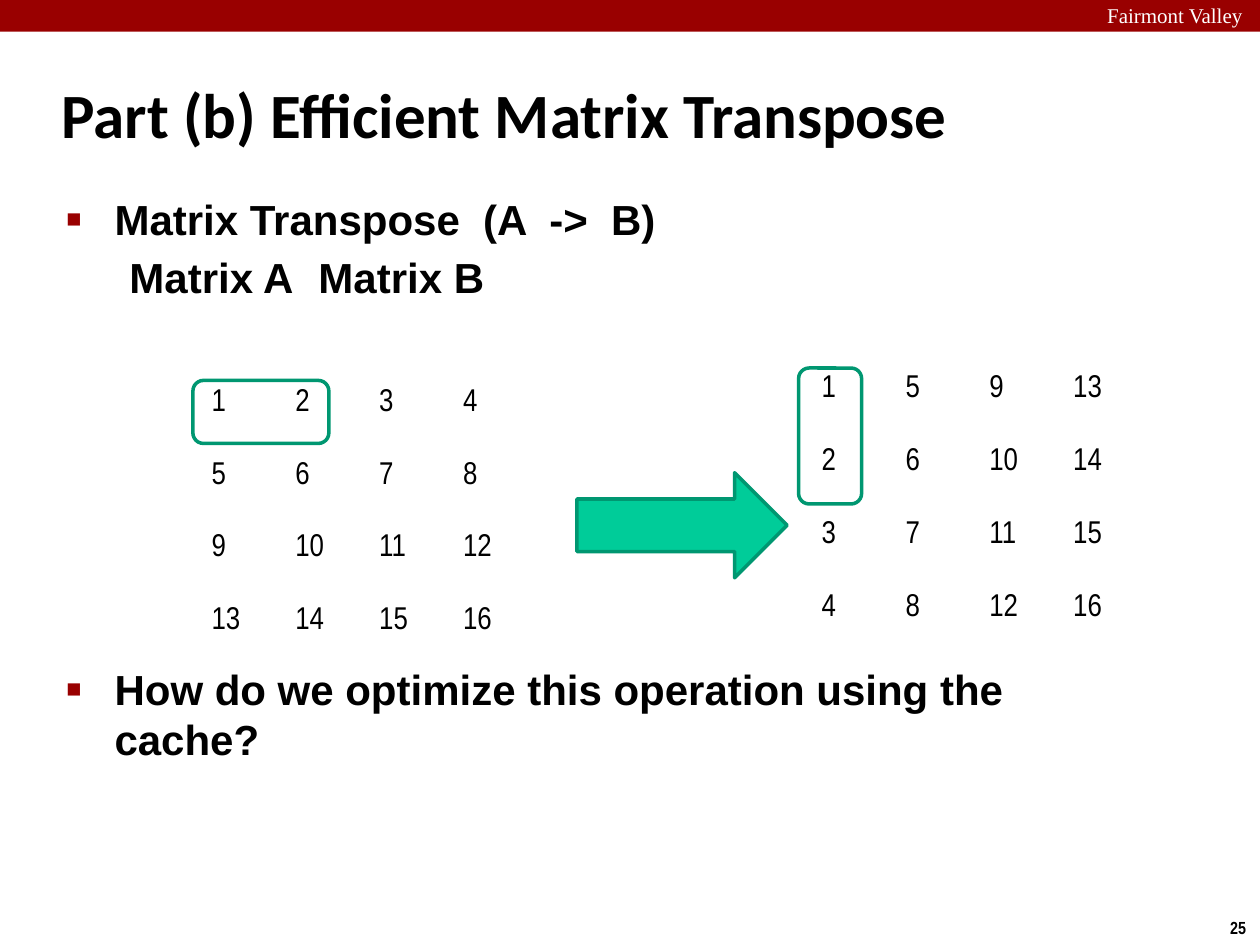
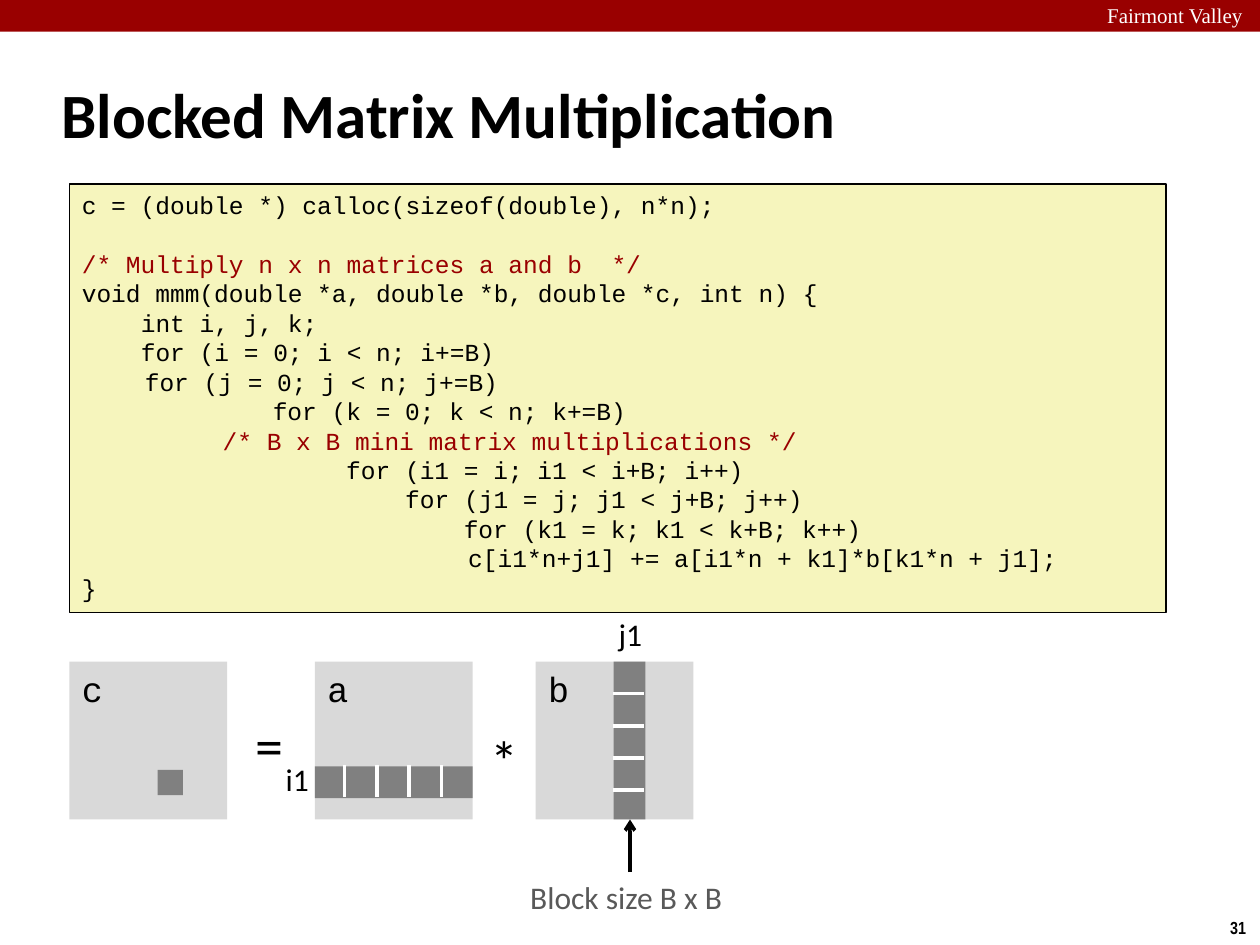
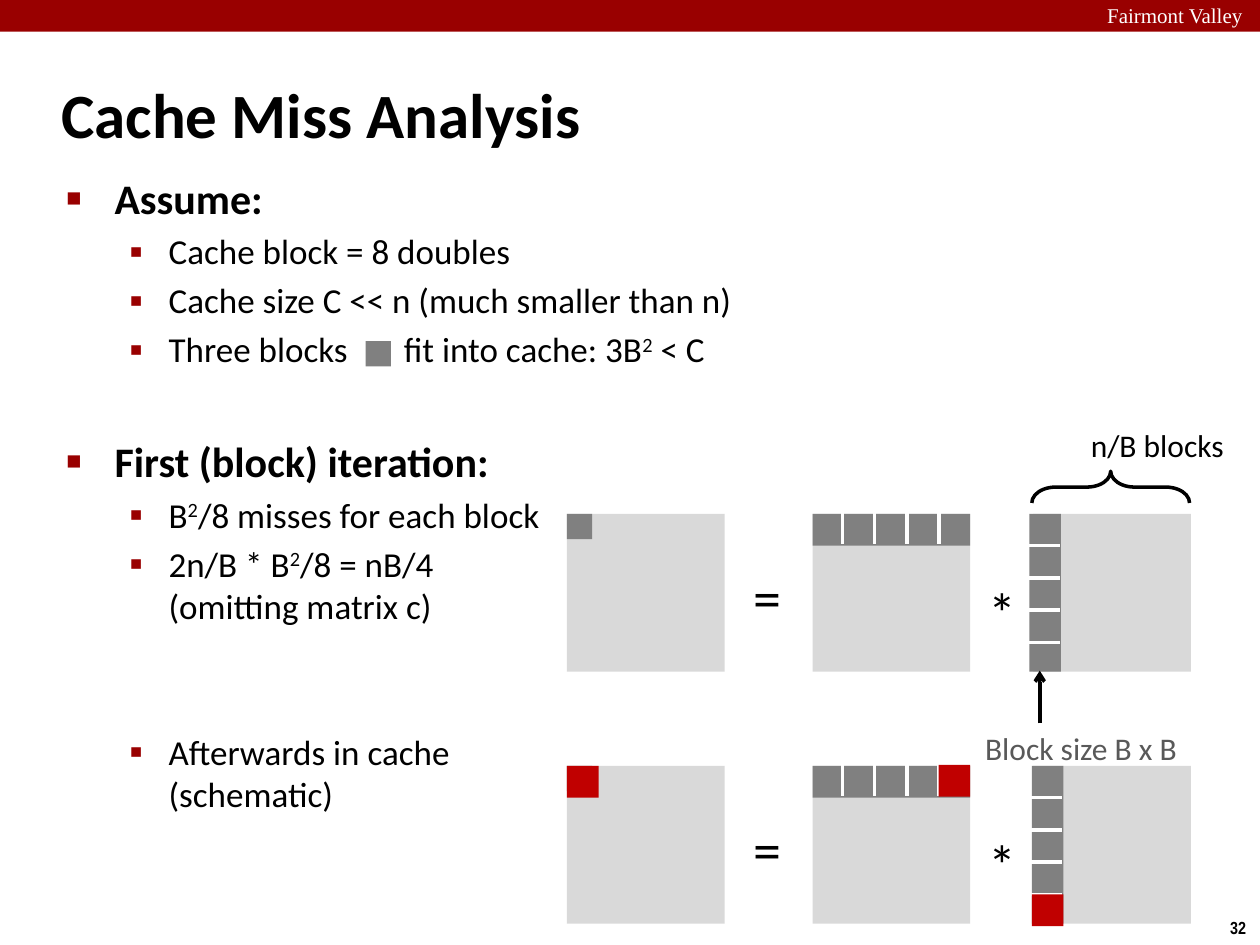
from dataclasses import dataclass
from typing import Any, Optional

from lxml.etree import SubElement
from pptx import Presentation
from pptx.dml.color import RGBColor
from pptx.enum.shapes import MSO_CONNECTOR, MSO_SHAPE
from pptx.enum.text import MSO_ANCHOR, PP_ALIGN
from pptx.oxml.ns import qn
from pptx.util import Cm, Pt

BLACK, WHITE, CRIMSON = "000000", "FFFFFF", "990000"
PALE, GREY, RED, CAPTION = "D9D9D9", "808080", "C00000", "595959"
CREAM, GREEN, DARK_GREEN = "F6F5BD", "00CC99", "009771"

SIDE, STRIP, CELL = 3.18, 0.64, 0.51


@dataclass(frozen=True)
class Style:
    size: float
    font: str = "Calibri"
    colour: str = BLACK
    bold: bool = False


@dataclass(frozen=True)
class Run:
    text: str
    raised: bool = False
    tracking: float = 0


@dataclass(frozen=True)
class Bullet:
    symbol: str
    percent: int
    left: float
    hanging: float


@dataclass(frozen=True)
class Line:
    runs: tuple[Run, ...]
    style: Style
    before: float = 0
    bullet: Optional[Bullet] = None
    left: float = 0
    spacing: Optional[float] = None
    tabs: tuple[float, ...] = ()


@dataclass(frozen=True)
class Box:
    left: float
    top: float
    width: float
    height: float


@dataclass(frozen=True)
class Product:
    left: float
    top: float
    column_left: float
    row_top: float = 0
    cell_left: float = 0
    cell_top: float = 0
    names: tuple[str, str, str] = ("", "", "")


TITLE = Style(36, bold=True)
HEADER = Style(12, "Times New Roman", WHITE)
NUMBER = Style(10, "Arial Narrow", bold=True)
ENTRY = Style(18, "Arial Narrow")
HEADING = Style(24, bold=True)
ARIAL_HEADING = Style(24, "Arial", bold=True)
DETAIL = Style(20)
LABEL = Style(18)
BLOCK_LABEL = Style(18, colour=CAPTION)
SIGN = Style(32)
CODE = Style(14, "Courier New")
COMMENT = Style(14, "Courier New", CRIMSON)
NAME = Style(20, "Courier New")
MAIN_BULLET = Bullet("■", 60, 0.97, 0.97)
SUB_BULLET = Bullet("▪", 110, 2.06, 0.79)


def colour(value: str) -> RGBColor:
    return RGBColor.from_string(value)


def apply_format(target: Any, values: dict[str, Any]) -> None:
    for name, value in values.items():
        setattr(target, name, value)


def plain(text: str, style: Style, **options: Any) -> Line:
    return Line((Run(text),), style, **options)


def add_run(paragraph: Any, text: str, style: Style) -> Any:
    run = paragraph.add_run()
    apply_format(run, {"text": text})
    apply_format(run.font, {"size": Pt(style.size), "name": style.font, "bold": style.bold})
    run.font.color.rgb = colour(style.colour)
    return run


def write_line(paragraph: Any, line: Line) -> None:
    values = {"alignment": PP_ALIGN.LEFT, "space_before": Pt(line.before)}
    if line.spacing:
        values["line_spacing"] = Pt(line.spacing)
    apply_format(paragraph, values)
    properties = paragraph._p.get_or_add_pPr()
    left, first = line.left, 0.0
    if line.bullet:
        left, first = line.bullet.left, -line.bullet.hanging
        bullet_colour = SubElement(properties, qn("a:buClr"))
        SubElement(bullet_colour, qn("a:srgbClr"), val=CRIMSON)
        SubElement(properties, qn("a:buSzPct"), val=str(line.bullet.percent * 1000))
        SubElement(properties, qn("a:buFont"), typeface="Arial")
        SubElement(properties, qn("a:buChar"), char=line.bullet.symbol)
    properties.set("marL", str(Cm(left)))
    properties.set("indent", str(Cm(first)))
    if line.tabs:
        stops = SubElement(properties, qn("a:tabLst"))
        for position in line.tabs:
            SubElement(stops, qn("a:tab"), pos=str(Cm(position)), algn="l")
    for part in line.runs:
        for index, text in enumerate(part.text.split("\n")):
            if index:
                paragraph.add_line_break()
            run = add_run(paragraph, text, line.style)
            if part.raised:
                run.font._element.set("baseline", "30000")
            if part.tracking:
                run.font._element.set("spc", str(int(part.tracking * 100)))


def write_lines(shape: Any, lines: list[Line], wrap: bool = True, anchor: Any = MSO_ANCHOR.TOP) -> None:
    frame = shape.text_frame
    apply_format(frame, {"word_wrap": wrap, "vertical_anchor": anchor})
    for index, line in enumerate(lines):
        write_line(frame.add_paragraph() if index else frame.paragraphs[0], line)


def lengths(box: Box) -> tuple[Any, ...]:
    return Cm(box.left), Cm(box.top), Cm(box.width), Cm(box.height)


def add_text(slide: Any, box: Box, lines: list[Line], **options: Any) -> Any:
    shape = slide.shapes.add_textbox(*lengths(box))
    write_lines(shape, lines, **options)
    return shape


def add_label(slide: Any, box: Box, text: str, style: Style = LABEL) -> None:
    add_text(slide, box, [plain(text, style)], wrap=False)


def add_figure(slide: Any, box: Box, fill: Optional[str] = None, outline: Optional[str] = None,
               kind: Any = MSO_SHAPE.RECTANGLE, weight: float = 2) -> Any:
    shape = slide.shapes.add_shape(kind, *lengths(box))
    shape.shadow.inherit = False
    if fill:
        shape.fill.solid()
        shape.fill.fore_color.rgb = colour(fill)
    else:
        shape.fill.background()
    if outline:
        shape.line.color.rgb = colour(outline)
        shape.line.width = Pt(weight)
    else:
        shape.line.fill.background()
    return shape


def add_rule(slide: Any, start: tuple[float, float], end: tuple[float, float],
             shade: str, arrow: bool = False) -> None:
    connector = slide.shapes.add_connector(
        MSO_CONNECTOR.STRAIGHT, Cm(start[0]), Cm(start[1]), Cm(end[0]), Cm(end[1]))
    connector.line.color.rgb = colour(shade)
    connector.line.width = Pt(2)
    if arrow:
        SubElement(connector.line._get_or_add_ln(), qn("a:tailEnd"), type="arrow")
    SubElement(connector._element.spPr, qn("a:effectLst"))


def add_matrix(slide: Any, left: float, top: float, rows: list[list[int]]) -> None:
    size = len(rows)
    table = slide.shapes.add_table(
        size, size, Cm(left), Cm(top), Cm(1.69 * size), Cm(1.47 * size)).table
    apply_format(table, {"first_row": False, "horz_banding": False})
    for column in table.columns:
        column.width = Cm(1.69)
    for row_index, row in enumerate(rows):
        table.rows[row_index].height = Cm(1.47)
        for column_index, value in enumerate(row):
            cell = table.cell(row_index, column_index)
            cell.fill.background()
            add_run(cell.text_frame.paragraphs[0], str(value), ENTRY)


def add_product(slide: Any, product: Product) -> None:
    left, top = product.left, product.top
    first, second = left + 4.95, left + 9.4
    for position, name in zip((left, first, second), product.names):
        square = add_figure(slide, Box(position, top, SIDE, SIDE), PALE)
        if name:
            write_lines(square, [plain(name, NAME)])
    add_label(slide, Box(left + 3.51, top + 0.85, 1.09, 1.63), "=", SIGN)
    add_label(slide, Box(left + 8.24, top + 1.16, 1.09, 1.63), "*", SIGN)
    row_top, column_left = top + product.row_top, second + product.column_left
    add_figure(slide, Box(left + product.cell_left, top + product.cell_top, CELL, CELL), GREY)
    add_figure(slide, Box(first, row_top, SIDE, STRIP), GREY)
    add_figure(slide, Box(column_left, top, STRIP, SIDE), GREY)
    for index in range(4):
        x, y = first + 0.6 + 0.65 * index, top + 0.64 + 0.65 * index
        add_rule(slide, (x, row_top - 0.02), (x, row_top + 0.61), WHITE)
        add_rule(slide, (column_left - 0.02, y), (column_left + 0.61, y), WHITE)


def add_block_note(slide: Any, left: float, top: float, arrow_left: float) -> None:
    add_label(slide, Box(left, top, 4.52, 1.02), "Block size B x B", BLOCK_LABEL)
    add_rule(slide, (arrow_left, top), (arrow_left, top - 1.06), BLACK, arrow=True)


def start_slide(presentation: Any, title: str, number: int) -> Any:
    slide = presentation.slides.add_slide(presentation.slide_layouts[6])
    add_figure(slide, Box(0, 0, 25.4, 0.64), CRIMSON)
    header = add_text(slide, Box(21.7, -0.08, 3.6, 0.76), [plain("Fairmont Valley", HEADER)])
    header.text_frame.paragraphs[0].alignment = PP_ALIGN.RIGHT
    add_label(slide, Box(24.55, 18.36, 0.84, 0.69), str(number), NUMBER)
    add_text(slide, Box(0.99, 1.22, 21.08, 2.11), [plain(title, TITLE)], anchor=MSO_ANCHOR.MIDDLE)
    return slide


def build_transpose(presentation: Any) -> None:
    slide = start_slide(presentation, "Part (b) Efficient Matrix Transpose", 25)
    matrix = [[4 * row + column + 1 for column in range(4)] for row in range(4)]
    add_matrix(slide, 16.31, 7.42, [list(row) for row in zip(*matrix)])
    add_matrix(slide, 4.01, 7.7, matrix)
    add_text(slide, Box(1.09, 3.78, 21.95, 13.82), [
        plain("Matrix Transpose  (A  ->  B)", ARIAL_HEADING, bullet=MAIN_BULLET, spacing=28.6),
        plain("\tMatrix A\tMatrix B", ARIAL_HEADING, before=4.8, spacing=28.6, tabs=(2.54, 15.24)),
        plain("How do we optimize this operation using the cache?", ARIAL_HEADING,
              before=206.8, bullet=MAIN_BULLET, spacing=28.6),
    ])
    for box in (Box(16.1, 7.42, 1.27, 2.74), Box(3.89, 7.67, 2.74, 1.27)):
        add_figure(slide, box, None, DARK_GREEN, MSO_SHAPE.ROUNDED_RECTANGLE)
    add_figure(slide, Box(11.63, 9.53, 4.24, 2.12), GREEN, DARK_GREEN, MSO_SHAPE.RIGHT_ARROW)


def build_multiplication(presentation: Any) -> None:
    slide = start_slide(presentation, "Blocked Matrix Multiplication", 31)
    code = [
        (0, "c = (double *) calloc(sizeof(double), n*n);"),
        (0, "/* Multiply n x n matrices a and b  */"),
        (0, "void mmm(double *a, double *b, double *c, int n) {"),
        (1.19, "int i, j, k;"),
        (1.19, "for (i = 0; i < n; i+=B)"),
        (1.27, "for (j = 0; j < n; j+=B)"),
        (3.85, "for (k = 0; k < n; k+=B)"),
        (2.84, "/* B x B mini matrix multiplications */"),
        (5.33, "for (i1 = i; i1 < i+B; i++)"),
        (6.52, "for (j1 = j; j1 < j+B; j++)"),
        (7.7, "for (k1 = k; k1 < k+B; k++)"),
        (7.79, "c[i1*n+j1] += a[i1*n + k1]*b[k1*n + j1];"),
        (0, "}"),
    ]
    listing = add_figure(slide, Box(1.4, 3.71, 22.1, 8.64), CREAM, BLACK, weight=1)
    write_lines(listing, [
        plain(text, COMMENT if text.startswith("/*") else CODE, left=left, spacing=16.8,
              before=16.8 if index == 1 else 0)
        for index, (left, text) in enumerate(code)
    ])
    add_product(slide, Product(1.4, 13.34, 1.57, 2.11, 1.78, 2.18, ("c", "a", "b")))
    add_label(slide, Box(5.51, 15.19, 0.99, 1.02), "i1")
    add_label(slide, Box(12.22, 12.27, 0.99, 1.02), "j1")
    add_block_note(slide, 10.44, 17.58, 12.7)


def build_analysis(presentation: Any) -> None:
    slide = start_slide(presentation, "Cache Miss Analysis", 32)

    def detail(*runs: Run, before: float = 4) -> Line:
        return Line(runs, DETAIL, before, SUB_BULLET)

    square = Run("2", raised=True)
    add_text(slide, Box(1.09, 3.35, 21.95, 8.48), [
        plain("Assume:", HEADING, bullet=MAIN_BULLET),
        detail(Run("Cache block = 8 doubles")),
        detail(Run("Cache size C << n (much smaller than n)")),
        detail(Run("Three blocks"), Run(" ", tracking=27.5), Run("fit into cache: 3B"), square, Run(" < C")),
        plain("First (block) iteration:", HEADING, before=37.7, bullet=MAIN_BULLET),
        detail(Run("B"), square, Run("/8 misses for each block")),
        detail(Run("2n/B * B"), square, Run("/8 = nB/4\n(omitting matrix c)")),
        detail(Run("Afterwards in cache\n(schematic)"), before=59.6),
    ])
    add_figure(slide, Box(7.37, 6.88, CELL, CELL), GREY)
    for top, column_left in ((15.44, -0.03), (10.36, -0.08)):
        add_product(slide, Product(11.43, top, column_left))
    for left, top in ((11.43, 15.44), (18.92, 15.42), (20.8, 18.03)):
        add_figure(slide, Box(left, top, STRIP, STRIP), RED)
    add_block_note(slide, 19.61, 14.58, 20.96)
    brace = add_figure(slide, Box(22.07, 8.23, 0.64, 3.18), None, BLACK, MSO_SHAPE.LEFT_BRACE)
    brace.rotation = 90
    brace.adjustments[0] = 0.75
    add_label(slide, Box(21.74, 8.46, 3.3, 1.02), "n/B blocks")


def main() -> None:
    presentation = Presentation()
    apply_format(presentation, {"slide_width": Cm(25.4), "slide_height": Cm(19.05)})
    for build in (build_transpose, build_multiplication, build_analysis):
        build(presentation)
    presentation.save("out.pptx")


if __name__ == "__main__":
    main()
